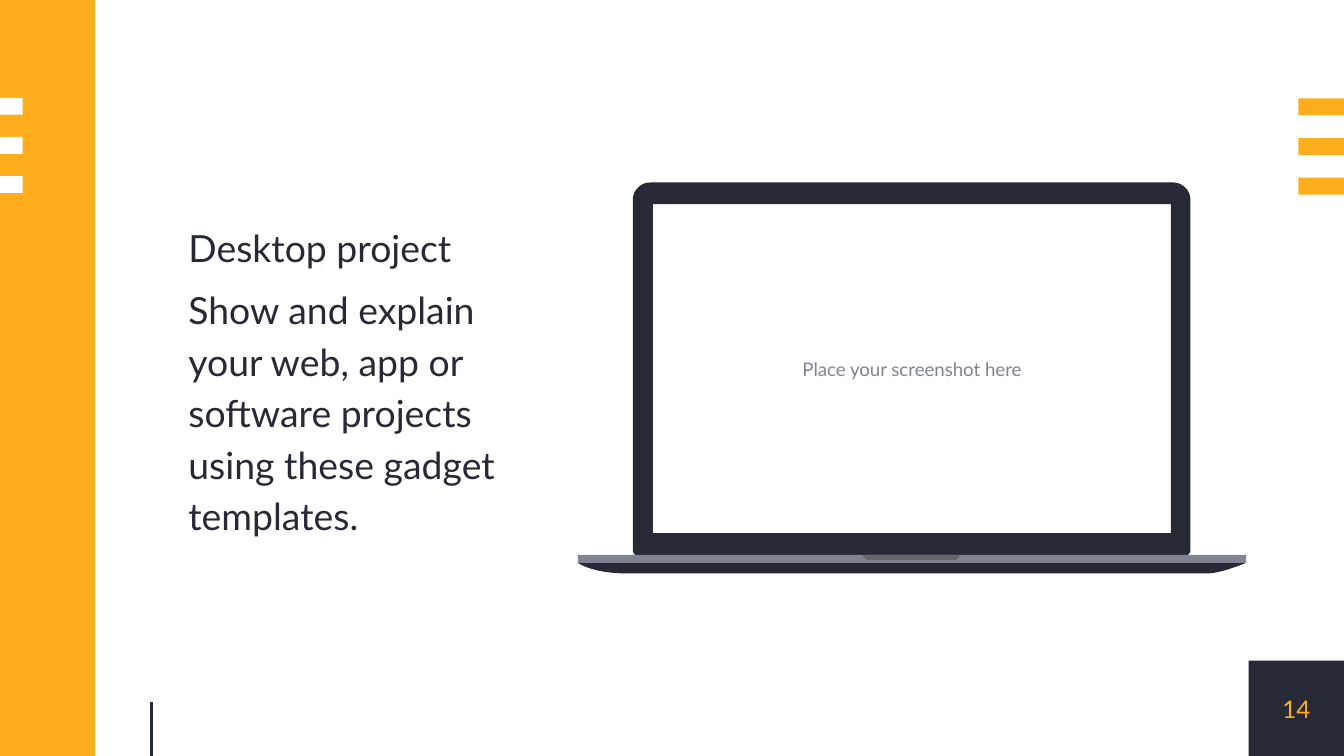
from lxml.etree import SubElement
from pptx import Presentation
from pptx.dml.color import RGBColor
from pptx.enum.shapes import MSO_CONNECTOR, MSO_SHAPE
from pptx.enum.text import MSO_ANCHOR, MSO_AUTO_SIZE, PP_ALIGN
from pptx.oxml.ns import qn
from pptx.util import Cm, Pt

W, H = 25.4, 14.29
DARK, ORANGE, GREY, NOTCH, WHITE = "272A36", "FFAD1D", "808392", "666666", "FFFFFF"
FONT = "Lato"


def rgb(value):
    return RGBColor.from_string(value)


def paint(s, color):
    s.fill.solid()
    s.fill.fore_color.rgb = rgb(color)
    s.line.fill.background()
    s.shadow.inherit = False


def rect(shapes, x, y, w, h, color):
    s = shapes.add_shape(MSO_SHAPE.RECTANGLE, Cm(x), Cm(y), Cm(w), Cm(h))
    paint(s, color)
    return s


def style(p, size, color):
    p.font.size = Pt(size)
    p.font.name = FONT
    p.font.color.rgb = rgb(color)


def label(shapes, text, x, y, w, h, size, color):
    tf = shapes.add_textbox(Cm(x), Cm(y), Cm(w), Cm(h)).text_frame
    tf.word_wrap = True
    tf.vertical_anchor = MSO_ANCHOR.MIDDLE
    tf.margin_left = tf.margin_right = tf.margin_top = tf.margin_bottom = 0
    p = tf.paragraphs[0]
    p.text = text
    p.alignment = PP_ALIGN.CENTER
    style(p, size, color)


def flatten(contour, steps=12):
    """Turn points (x, y) and cubic curves (x1, y1, x2, y2, x, y) into points."""
    points = []
    for part in contour:
        if len(part) == 2:
            points.append(part)
            continue
        knots = [points[-1], part[:2], part[2:4], part[4:]]
        for i in range(1, steps + 1):
            t = i / steps
            weights = ((1 - t) ** 3, 3 * t * (1 - t) ** 2, 3 * t * t * (1 - t), t ** 3)
            points.append(tuple(sum(b * k[a] for b, k in zip(weights, knots))
                                for a in (0, 1)))
    return points


def outline(shapes, x, y, color, *contours):
    """Draw closed contours, given in cm from (x, y), as one shape."""
    builder = None
    for contour in contours:
        points = [(Cm(x + px), Cm(y + py)) for px, py in flatten(contour)]
        if builder is None:
            builder = shapes.build_freeform(*points[0])
        else:
            builder.move_to(*points[0])
        builder.add_line_segments(points[1:], close=True)
    paint(builder.convert_to_shape(), color)


def stripes(shapes, x, y, w, pitch, color):
    for i in range(3):
        rect(shapes, x, y + i * pitch, w, 0.32, color)


def frame(shapes, w, h, number):
    # Side bar and stripes
    side = 1.8
    rect(shapes, 0, 0, side, h, ORANGE)
    stripes(shapes, 0, 1.85, 0.43, 0.74, WHITE)
    stripes(shapes, w - 0.86, 1.86, 0.86, 0.75, ORANGE)
    # Page number
    corner = (w - side, h - side, side, side)
    rect(shapes, *corner, DARK)
    label(shapes, number, *corner, 13, ORANGE)
    # Short rule at the bottom
    line = shapes.add_connector(MSO_CONNECTOR.STRAIGHT,
                                Cm(2.87), Cm(h - 1.03), Cm(2.87), Cm(h))
    line.line.color.rgb = rgb(DARK)
    line.line.width = Pt(1.5)
    SubElement(line._element.spPr, qn("a:effectLst"))


def laptop(shapes, x, y, w, caption):
    # Lid with the screen cut out
    left, right, bottom = 1.04, w - 1.05, 7.06
    sl, st, sr, sb = 1.42, 0.41, 11.21, 6.63
    lid = [(right - 0.33, 0), (left + 0.33, 0),
           (left + 0.15, 0, left, 0.15, left, 0.33),
           (left, bottom - 0.12),
           (left, bottom - 0.05, left + 0.05, bottom, left + 0.12, bottom),
           (right - 0.12, bottom),
           (right - 0.05, bottom, right, bottom - 0.05, right, bottom - 0.12),
           (right, 0.33),
           (right, 0.15, right - 0.15, 0, right - 0.33, 0)]
    screen = [(sr, sb), (sl, sb), (sl, st), (sr, st)]
    outline(shapes, x, y, DARK, lid, screen)
    label(shapes, caption, x + sl, y + st, sr - sl, sb - st, 10, GREY)
    # Base, deck and notch
    deck, base, foot = 7.04, 7.19, 7.39
    outline(shapes, x, y, DARK,
            [(0, base), (0, base, 0.28, foot, 0.91, foot), (w - 0.74, foot),
             (w - 0.46, foot, w, base, w, base)])
    rect(shapes, x, y + deck, w, base - deck, GREY)
    outline(shapes, x, y, NOTCH,
            [(5.38, deck), (5.38, deck, 5.43, 7.14, 5.49, 7.14), (7.11, 7.14),
             (7.17, 7.14, 7.22, deck, 7.22, deck)])


def description(s, x, y, w, h, texts):
    s.left, s.top, s.width, s.height = Cm(x), Cm(y), Cm(w), Cm(h)
    tf = s.text_frame
    tf.word_wrap = True
    tf.auto_size = MSO_AUTO_SIZE.NONE
    tf.vertical_anchor = MSO_ANCHOR.MIDDLE
    tf.margin_left = tf.margin_right = tf.margin_top = tf.margin_bottom = 0
    for i, text in enumerate(texts):
        p = tf.add_paragraph() if i else tf.paragraphs[0]
        p.text = text
        p.line_spacing = 1.15
        p.space_before = Pt(6)
        style(p, 20, DARK)
        # No bullet, no indent
        pPr = p._p.get_or_add_pPr()
        pPr.set("marL", "0")
        pPr.set("indent", "0")
        pPr.insert_element_before(pPr.makeelement(qn("a:buNone")), "a:defRPr")


def main():
    prs = Presentation()
    prs.slide_width, prs.slide_height = Cm(W), Cm(H)
    slide = prs.slides.add_slide(prs.slide_layouts[1])
    title = slide.shapes.title._element
    title.getparent().remove(title)

    frame(slide.shapes, W, H, "14")
    laptop(slide.shapes, 10.92, 3.45, 12.63, "Place your screenshot here")
    description(slide.placeholders[1], 3.56, 1.04, 6.93, 12.22, [
        "Desktop project",
        "Show and explain your web, app or software projects "
        "using these gadget templates."])
    prs.save("out.pptx")


if __name__ == "__main__":
    main()
